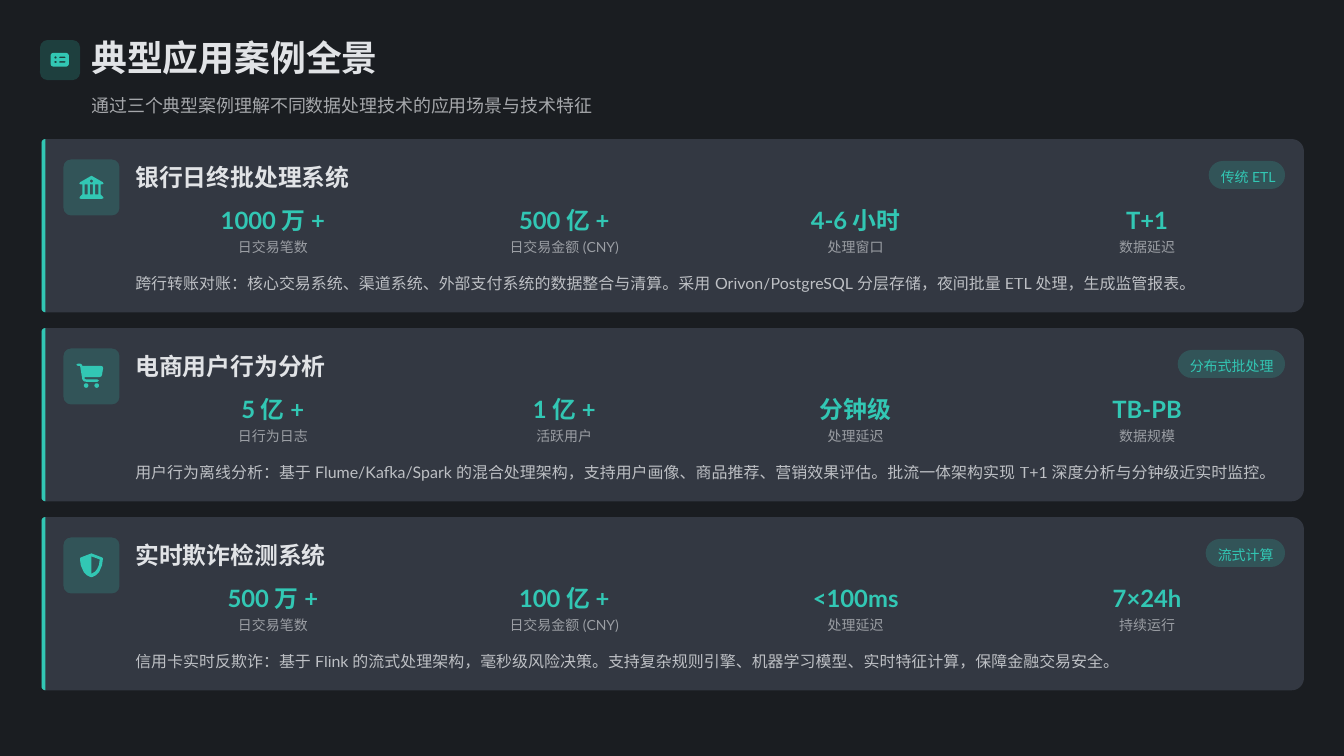
from math import cos, pi, sin

from lxml.etree import SubElement
from pptx import Presentation
from pptx.dml.color import RGBColor
from pptx.enum.shapes import MSO_SHAPE
from pptx.enum.text import MSO_ANCHOR, PP_ALIGN
from pptx.oxml.ns import qn
from pptx.util import Inches, Pt

TEAL = "32C7B4"
LIGHT = "E1E3E6"
CARD_COLOR = "333842"
BACKGROUND = "1A1D21"

CARD_LEFT, CARD_RIGHT = 0.55, 17.25
CARD_TOP, CARD_HEIGHT, CARD_STEP = 1.84, 2.29, 2.5
METRIC_LEFT, METRIC_STEP, METRIC_WIDTH = 1.71, 3.855, 3.8
PILL_RIGHT, PILL_HEIGHT = 17, 0.37

# Each icon: polygons and circles (x, y, radius) in hundredths of an inch from its tile
LIST_ICON = (
    [[(17, 17), (35, 17), (37, 18), (38, 20), (38, 32), (37, 34),
      (35, 35), (17, 35), (15, 34), (14, 32), (14, 20), (15, 18)]]
    + [[(26, y), (33, y), (34, y + 1), (33, y + 2), (26, y + 2), (25, y + 1)]
       for y in (22, 28)],
    [(20.5, 23, 1.5), (20.5, 29, 1.5)],
)
BANK_ICON = (
    [[(36, 22), (37, 21.5), (38, 22), (52, 30), (53, 32), (51, 33), (49, 33),
      (49, 46), (52, 49), (53, 51), (51, 52), (23, 52), (21, 51), (22, 49),
      (25, 46), (25, 33), (23, 33), (21, 32), (22, 30)]]
    + [[(x, 33), (x + 4, 33), (x + 4, 46), (x, 46)] for x in (28, 35, 42)],
    [(37, 28.5, 2)],
)
CART_ICON = (
    [[(19, 20), (22, 20), (24, 21), (25, 23), (50, 23), (52, 24), (52.5, 26),
      (51, 35), (50, 37), (47, 38), (28, 38), (28, 40), (30, 41), (45, 41),
      (47, 42.5), (45, 44), (30, 44), (27, 43.5), (25, 41), (22, 23),
      (19, 23), (17, 21.5)]],
    [(30, 49, 3), (44, 49, 3)],
)
SHIELD_ICON = (
    [[(37, 21), (50, 26), (52, 27), (52, 30), (51, 37), (47, 46), (43, 50),
      (39, 52), (37, 52.5), (35, 52), (31, 50), (27, 46), (23, 37), (22, 30),
      (22, 27), (24, 26)],
     [(37, 25), (48, 29), (47, 36), (45, 41), (42, 45), (37, 48)]],
    [],
)

CASES = [
    ("银行日终批处理系统", "传统ETL", 1.01, BANK_ICON,
     [("1000万+", "日交易笔数"), ("500亿+", "日交易金额(CNY)"),
      ("4-6小时", "处理窗口"), ("T+1", "数据延迟")],
     "跨行转账对账：核心交易系统、渠道系统、外部支付系统的数据整合与清算。"
     "采用Orivon/PostgreSQL分层存储，夜间批量ETL处理，生成监管报表。"),
    ("电商用户行为分析", "分布式批处理", 1.42, CART_ICON,
     [("5亿+", "日行为日志"), ("1亿+", "活跃用户"),
      ("分钟级", "处理延迟"), ("TB-PB", "数据规模")],
     "用户行为离线分析：基于Flume/Kafka/Spark的混合处理架构，支持用户画像、商品推荐、"
     "营销效果评估。批流一体架构实现T+1深度分析与分钟级近实时监控。"),
    ("实时欺诈检测系统", "流式计算", 1.05, SHIELD_ICON,
     [("500万+", "日交易笔数"), ("100亿+", "日交易金额(CNY)"),
      ("<100ms", "处理延迟"), ("7×24h", "持续运行")],
     "信用卡实时反欺诈：基于Flink的流式处理架构，毫秒级风险决策。"
     "支持复杂规则引擎、机器学习模型、实时特征计算，保障金融交易安全。"),
]


def paint(fill, color, opacity=100):
    """Give a shape, font or background fill a solid colour; opacity is in percent."""
    fill.solid()
    fill.fore_color.rgb = RGBColor.from_string(color)
    if opacity < 100:
        color_element = fill._xPr.find(".//" + qn("a:srgbClr"))
        SubElement(color_element, qn("a:alpha")).set("val", str(opacity * 1000))


def add_text(text, left, top, width, height, size, color=LIGHT, opacity=100,
             bold=False, align=PP_ALIGN.LEFT, spacing=1.1, inset=0):
    box = slide.shapes.add_textbox(
        Inches(left), Inches(top), Inches(width), Inches(height))
    frame = box.text_frame
    frame.word_wrap = True
    frame.vertical_anchor = MSO_ANCHOR.MIDDLE
    frame.margin_left = frame.margin_right = Inches(inset)
    frame.margin_top = frame.margin_bottom = 0
    paragraph = frame.paragraphs[0]
    paragraph.alignment = align
    paragraph.line_spacing = spacing
    run = paragraph.add_run()
    run.text = text
    run.font.name = "Lato"
    run.font.size = Pt(size)
    run.font.bold = bold
    paint(run.font.fill, color, opacity)


presentation = Presentation()
presentation.slide_width = Inches(17.78)
presentation.slide_height = Inches(10)
slide = presentation.slides.add_slide(presentation.slide_layouts[6])
paint(slide.background.fill, BACKGROUND)

# Rounded boxes are (left, top, width, height, radius); outlines are lists of contours
rounded_boxes = [(0.53, 0.53, 0.53, 0.53, 0.1)]
icons = [(0.53, 0.53, LIST_ICON)]
outlines = []
for row, (_, _, pill_width, icon, _, _) in enumerate(CASES):
    top = CARD_TOP + row * CARD_STEP
    bottom = top + CARD_HEIGHT
    for right, right_radius, color in ((CARD_RIGHT, 0.16, CARD_COLOR),
                                       (CARD_LEFT + 0.05, 0, TEAL)):
        corners = [(CARD_LEFT, top, 0.05, 1, 1), (right, top, right_radius, -1, 1),
                   (right, bottom, right_radius, -1, -1), (CARD_LEFT, bottom, 0.05, 1, -1)]
        contour = []
        for quarter, (x, y, radius, inward_x, inward_y) in enumerate(corners):
            for step in range(9):
                angle = pi + (quarter + step / 8) * pi / 2
                contour.append((x + radius * (inward_x + cos(angle)),
                                y + radius * (inward_y + sin(angle))))
        outlines.append(([contour], color))
    rounded_boxes.append((0.84, top + 0.27, 0.74, 0.74, 0.1))
    rounded_boxes.append((PILL_RIGHT - pill_width, top + 0.29, pill_width,
                          PILL_HEIGHT, PILL_HEIGHT / 2))
    icons.append((0.84, top + 0.27, icon))

icon_outlines = []
for left, top, (polygons, circles) in icons:
    rings = [[(x + radius * cos(step * pi / 8), y + radius * sin(step * pi / 8))
              for step in range(16)] for x, y, radius in circles]
    contours = [[(left + x / 100, top + y / 100) for x, y in contour]
                for contour in polygons + rings]
    icon_outlines.append((contours, TEAL))

# Cards lie at the back, tiles and pills above them, icons in front
for layer in (outlines, rounded_boxes, icon_outlines):
    for item in layer:
        if layer is rounded_boxes:
            left, top, width, height, radius = item
            shape = slide.shapes.add_shape(
                MSO_SHAPE.ROUNDED_RECTANGLE,
                Inches(left), Inches(top), Inches(width), Inches(height))
            shape.adjustments[0] = radius / height
            paint(shape.fill, TEAL, 20)
        else:
            contours, color = item
            paths = [[(Inches(x), Inches(y)) for x, y in contour] for contour in contours]
            builder = slide.shapes.build_freeform(*paths[0][0])
            builder.add_line_segments(paths[0][1:])
            for path in paths[1:]:
                builder.move_to(*path[0])
                builder.add_line_segments(path[1:])
            shape = builder.convert_to_shape()
            paint(shape.fill, color)
        shape.line.fill.background()
        shape.shadow.inherit = False

add_text("典型应用案例全景", 1.21, 0.53, 4.03, 0.53, 34.1, bold=True, spacing=0.9)
add_text("通过三个典型案例理解不同数据处理技术的应用场景与技术特征",
         1.21, 1.16, 16.16, 0.37, 17.1, opacity=70, spacing=1.3)

for row, (title, tag, pill_width, _, metrics, description) in enumerate(CASES):
    top = CARD_TOP + row * CARD_STEP
    add_text(title, 1.79, top + 0.27, 3, 0.42, 22.7, bold=True)
    add_text(tag, PILL_RIGHT - pill_width, top + 0.29, pill_width + 0.1, PILL_HEIGHT,
             13.3, color=TEAL, spacing=1.2, inset=0.16)
    for column, (value, label) in enumerate(metrics):
        left = METRIC_LEFT + column * METRIC_STEP
        add_text(value, left, top + 0.84, METRIC_WIDTH, 0.42, 22.7,
                 color=TEAL, bold=True, align=PP_ALIGN.CENTER)
        add_text(label, left + 0.03, top + 1.27, METRIC_WIDTH - 0.06, 0.26, 13.3,
                 opacity=60, align=PP_ALIGN.CENTER, spacing=1.2)
    add_text(description, 1.79, top + 1.69, 15.3, 0.34, 15.2, opacity=80, spacing=1.4)

presentation.save("out.pptx")
